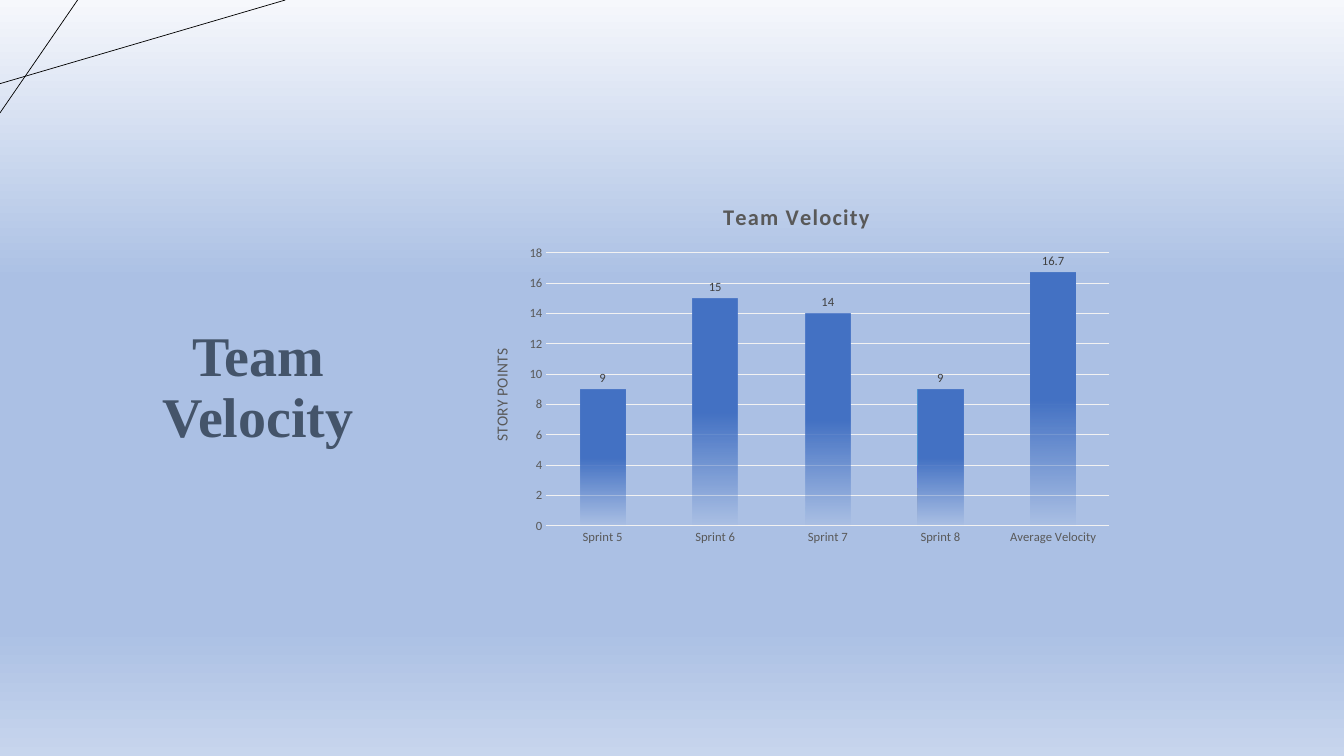
from lxml import etree
from pptx import Presentation
from pptx.chart.data import CategoryChartData
from pptx.dml.color import RGBColor
from pptx.enum.chart import XL_CHART_TYPE, XL_LABEL_POSITION, XL_TICK_MARK
from pptx.enum.shapes import MSO_CONNECTOR
from pptx.enum.text import MSO_ANCHOR, PP_ALIGN
from pptx.oxml.ns import qn
from pptx.util import Inches, Pt

COLUMNS = XL_CHART_TYPE.COLUMN_CLUSTERED
OUTSIDE_END = XL_LABEL_POSITION.OUTSIDE_END
NO_TICK = XL_TICK_MARK.NONE
STRAIGHT = MSO_CONNECTOR.STRAIGHT
MIDDLE = MSO_ANCHOR.MIDDLE
CENTER = PP_ALIGN.CENTER

BLACK = RGBColor(0x00, 0x00, 0x00)
SLATE = RGBColor(0x44, 0x54, 0x6A)
GRAY = RGBColor(0x59, 0x59, 0x59)
DARK_GRAY = RGBColor(0x40, 0x40, 0x40)
PALE_GRAY = RGBColor(0xF2, 0xF2, 0xF2)
BLUE = RGBColor(0x44, 0x72, 0xC4)
SKY = RGBColor(0xAB, 0xC0, 0xE4)
SKY_TOP = RGBColor(0xF6, 0xF8, 0xFC)
SKY_BOTTOM = RGBColor(0xC7, 0xD5, 0xED)

BACKGROUND_STOPS = [(0, SKY_TOP, 100), (37, SKY, 100), (83, SKY, 100), (100, SKY_BOTTOM, 100)]
BAR_STOPS = [(50, BLUE, 100), (100, BLUE, 0)]
CORNER_LINES = [(0, 0.83, 2.83, 0), (0.77, 0, 0, 1.12)]
TITLE_BOX = (1.12, 2.15, 2.88, 2.79)
CHART_BOX = (4.66, 1.84, 6.48, 3.64)
PLOT_SHARES = {"x": 0.117, "y": 0.184, "w": 0.862, "h": 0.744}
VELOCITY = {"Sprint 5": 9, "Sprint 6": 15, "Sprint 7": 14, "Sprint 8": 9, "Average Velocity": 16.7}


def set_font(font, color, **values):
    font.color.rgb = color
    for name, value in values.items():
        setattr(font, name, value)


def set_gradient(fill, element, stops):
    """Fill from top to bottom with stops of (percent, colour, opacity percent)."""
    fill.gradient()
    fill.gradient_angle = 270
    stop_list = element.find(".//" + qn("a:gsLst"))
    for old in list(stop_list):
        stop_list.remove(old)
    for position, color, opacity in stops:
        stop = etree.SubElement(stop_list, qn("a:gs"), pos=str(position * 1000))
        rgb = etree.SubElement(stop, qn("a:srgbClr"), val=str(color))
        if opacity < 100:
            etree.SubElement(rgb, qn("a:alpha"), val=str(opacity * 1000))


def add_corner_lines(slide):
    for ends in CORNER_LINES:
        line = slide.shapes.add_connector(STRAIGHT, *map(Inches, ends))
        line.line.color.rgb = BLACK
        line.line.width = Pt(0.5)
        etree.SubElement(line._element.spPr, qn("a:effectLst"))


def add_title(slide, box):
    tf = slide.shapes.add_textbox(*map(Inches, box)).text_frame
    tf.word_wrap = True
    tf.vertical_anchor = MIDDLE
    tf.margin_top = Inches(0.67)
    p = tf.paragraphs[0]
    p.alignment = CENTER
    p.line_spacing = 0.9
    r = p.add_run()
    r.text = "Team Velocity"
    set_font(r.font, SLATE, name="Times New Roman", size=Pt(40), bold=True)


def add_heading(owner, text, **values):
    """Title a chart or an axis; returns the run."""
    p = owner.text_frame.paragraphs[0]
    r = p.add_run()
    r.text = text
    set_font(r.font, GRAY, name="Calibri", **values)
    return r


def set_plot_area(chart, shares):
    plot_area = chart._chartSpace.chart.plotArea
    layout = plot_area.find(qn("c:layout"))
    if layout is None:
        layout = etree.Element(qn("c:layout"))
        plot_area.insert(0, layout)
    manual = etree.SubElement(layout, qn("c:manualLayout"))
    settings = {"layoutTarget": "inner", "xMode": "edge", "yMode": "edge", **shares}
    for tag, value in settings.items():
        etree.SubElement(manual, qn("c:" + tag), val=str(value))


def add_velocity_chart(slide, box):
    data = CategoryChartData()
    data.categories = list(VELOCITY)
    data.add_series("Series 1", list(VELOCITY.values()))
    chart = slide.shapes.add_chart(COLUMNS, *map(Inches, box), data).chart
    set_font(chart.font, BLACK, name="Calibri", size=Pt(10))
    chart.has_legend = False
    chart.has_title = True
    heading = add_heading(chart.chart_title, "Team Velocity", size=Pt(16), bold=True)
    heading.font._element.set("spc", "100")
    chart.chart_title.include_in_layout = False

    for axis in (chart.category_axis, chart.value_axis):
        axis.major_tick_mark = axis.minor_tick_mark = NO_TICK
        axis.format.line.fill.background()
        set_font(axis.tick_labels.font, GRAY, name="Calibri", size=Pt(9))
    axis = chart.value_axis
    axis.minimum_scale, axis.maximum_scale, axis.major_unit = 0, 18, 2
    axis.major_gridlines.format.line.color.rgb = PALE_GRAY
    axis.major_gridlines.format.line.width = Pt(0.75)
    add_heading(axis.axis_title, "STORY POINTS", size=Pt(11), bold=False)

    plot = chart.plots[0]
    plot.gap_width = 150
    plot.vary_by_categories = False
    series = plot.series[0]
    set_gradient(series.format.fill, series._element, BAR_STOPS)
    labels = series.data_labels
    labels.show_value = True
    labels.position = OUTSIDE_END
    set_font(labels.font, DARK_GRAY, name="Calibri", size=Pt(9))
    set_plot_area(chart, PLOT_SHARES)


def main():
    prs = Presentation()
    prs.slide_width, prs.slide_height = Inches(13.33), Inches(7.5)
    slide = prs.slides.add_slide(prs.slide_layouts[6])
    set_gradient(slide.background.fill, slide._element, BACKGROUND_STOPS)
    add_corner_lines(slide)
    add_title(slide, TITLE_BOX)
    add_velocity_chart(slide, CHART_BOX)
    prs.save("out.pptx")


if __name__ == "__main__":
    main()
